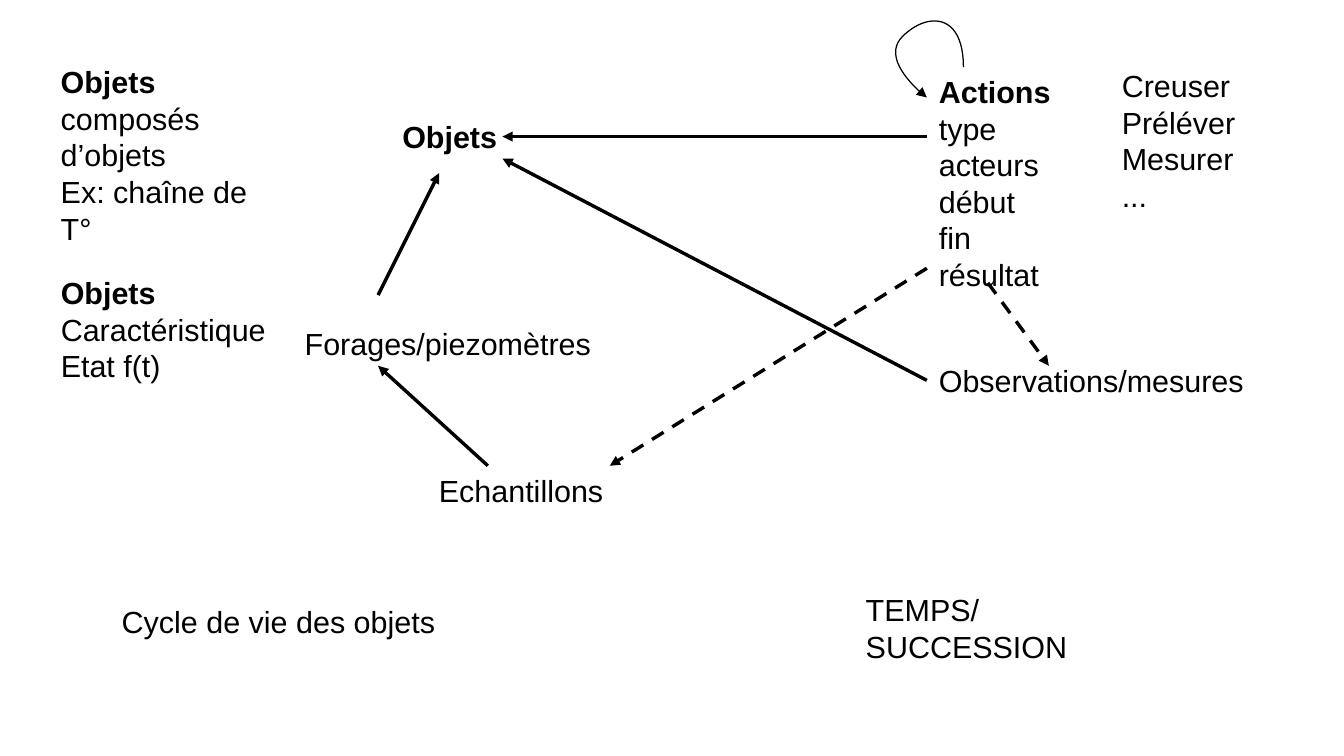
from dataclasses import dataclass

from lxml import etree
from pptx import Presentation
from pptx import util as u
from pptx.dml.color import RGBColor
from pptx.enum import dml, shapes, text
from pptx.oxml.ns import qn

CELL = 0.1  # inches per grid column and row
COLUMNS, ROWS = 110.2, 62
COLOURS = {"ink": "000000", "paper": "FFFFFF"}
FONT = {"name": "Arial", "size": u.Pt(18)}
FRAME = {"auto_size": text.MSO_AUTO_SIZE.SHAPE_TO_FIT_TEXT,
         "vertical_anchor": text.MSO_ANCHOR.TOP}
CURVE_STEPS = 24

Point = tuple[float, float]


@dataclass(frozen=True)
class Note:
    """A text box; the heading is bold and opens the first paragraph."""
    column: float
    row: float
    width: float
    height: float
    paragraphs: tuple[str, ...]
    heading: str = ""
    wrap: bool = False


@dataclass(frozen=True)
class Arrow:
    start: Point
    end: Point
    dashed: bool = False


NOTES = (
    Note(32, 9.2, 9.8, 3.8, ("",), "Objets"),
    Note(76, 5.5, 13, 20.6, ("\ntype\nacteurs", "début\nfin\nrésultat"), "Actions", True),
    Note(76, 29.2, 30, 6.6, ("Observations/mesures",), wrap=True),
    Note(24, 26.2, 25.5, 3.8, ("Forages/piezomètres",)),
    Note(35, 38.2, 15.5, 3.8, ("Echantillons",)),
    Note(70, 48, 27.8, 3.8, ("TEMPS/SUCCESSION",)),
    Note(91, 5, 11.3, 12.2, ("Creuser\nPréléver\nMesurer", "...")),
    Note(9, 49, 27.7, 3.8, ("Cycle de vie des objets",)),
    Note(4, 4.7, 20, 15, (" composés d’objets", "Ex: chaîne de T°"), "Objets", True),
    Note(4, 22, 19.5, 9.4, ("\nCaractéristique \nEtat f(t)",), "Objets"),
)

ARROWS = (
    Arrow((76, 11.2), (41.2, 11.2)),
    Arrow((76, 31.2), (41.2, 13)),
    Arrow((31, 24.2), (36, 14.2)),
    Arrow((40, 38.2), (31, 30)),
    Arrow((76, 22), (50, 38.2), dashed=True),
    Arrow((81, 23.2), (86, 30), dashed=True),
)

ACTION_LOOP = (
    ((79, 5.5), (79, 1), (76, 1), (74, 3)),
    ((74, 3), (72, 5), (76, 8), (76, 8)),
)


def grid(cells: float) -> u.Emu:
    return u.Inches(cells * CELL)


def colour(name: str) -> RGBColor:
    return RGBColor.from_string(COLOURS[name])


def add_text(para, content: str, bold: bool = False) -> None:
    for index, line in enumerate(content.split("\n")):
        if index:
            para.add_line_break()
        if line:
            span = para.add_run()
            span.text = line
            for name, value in {**FONT, "bold": bold}.items():
                setattr(span.font, name, value)
            span.font.color.rgb = colour("ink")


def add_note(page, note: Note) -> None:
    box = page.shapes.add_textbox(*map(grid, (note.column, note.row, note.width, note.height)))
    frame = box.text_frame
    for name, value in {**FRAME, "word_wrap": note.wrap}.items():
        setattr(frame, name, value)
    for index, content in enumerate(note.paragraphs):
        para = frame.add_paragraph() if index else frame.paragraphs[0]
        if not index:
            add_text(para, note.heading, bold=True)
        add_text(para, content)


def format_arrow(shape, dashed: bool = False) -> None:
    """Give a hairline with a triangle at its end and no shadow."""
    shape.line.width = u.Pt(0)
    shape.line.color.rgb = colour("ink")
    if dashed:
        shape.line.dash_style = dml.MSO_LINE.DASH
    properties = shape._element.spPr
    etree.SubElement(properties.find(qn("a:ln")), qn("a:tailEnd"), type="triangle")
    if properties.find(qn("a:effectLst")) is None:
        etree.SubElement(properties, qn("a:effectLst"))


def add_arrow(page, arrow: Arrow) -> None:
    line = page.shapes.add_connector(
        shapes.MSO_CONNECTOR.STRAIGHT, *map(grid, arrow.start + arrow.end))
    format_arrow(line, arrow.dashed)


def curve_point(controls: tuple[Point, ...], share: float) -> Point:
    """Return the point at a share of a cubic Bézier curve."""
    rest = 1 - share
    weights = (rest**3, 3 * rest**2 * share, 3 * rest * share**2, share**3)
    return tuple(grid(sum(weight * point[axis] for weight, point in zip(weights, controls)))
                 for axis in (0, 1))


def add_loop(page, curves: tuple[tuple[Point, ...], ...]) -> None:
    points = [curve_point(controls, step / CURVE_STEPS)
              for controls in curves for step in range(1, CURVE_STEPS + 1)]
    builder = page.shapes.build_freeform(*map(grid, curves[0][0]))
    builder.add_line_segments(points, close=False)
    loop = builder.convert_to_shape()
    loop.shadow.inherit = False
    loop.fill.background()
    format_arrow(loop)


def main() -> None:
    deck = Presentation()
    deck.slide_width, deck.slide_height = grid(COLUMNS), grid(ROWS)
    page = deck.slides.add_slide(deck.slide_layouts[6])
    page.background.fill.solid()
    page.background.fill.fore_color.rgb = colour("paper")
    for note in NOTES:
        add_note(page, note)
    for arrow in ARROWS:
        add_arrow(page, arrow)
    add_loop(page, ACTION_LOOP)
    deck.save("out.pptx")


if __name__ == "__main__":
    main()
